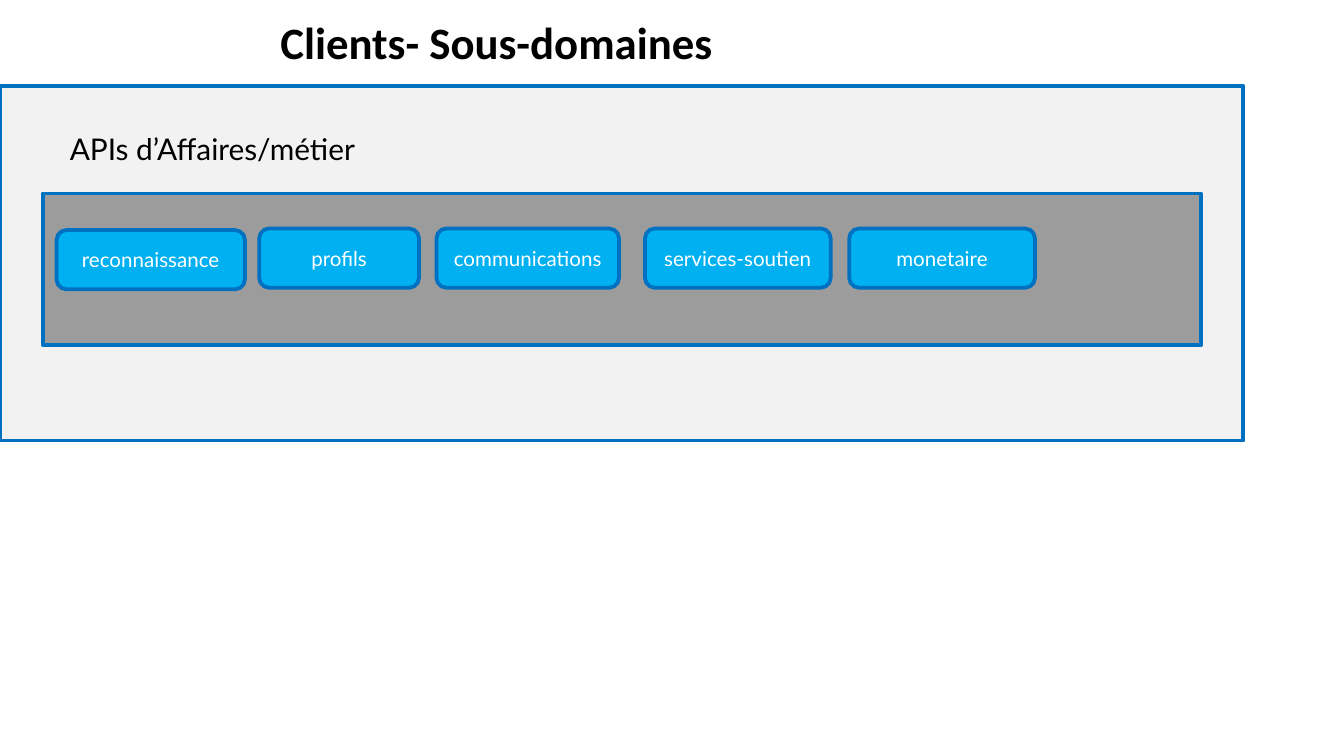
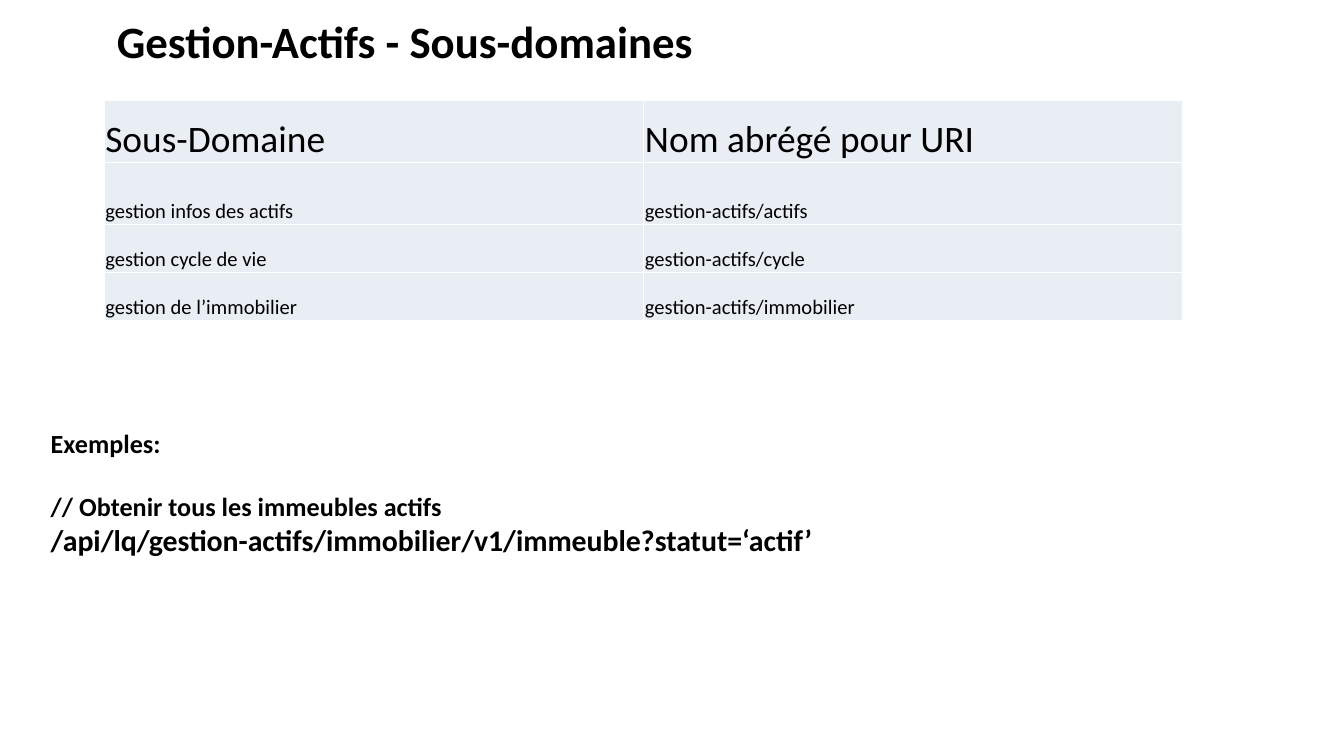
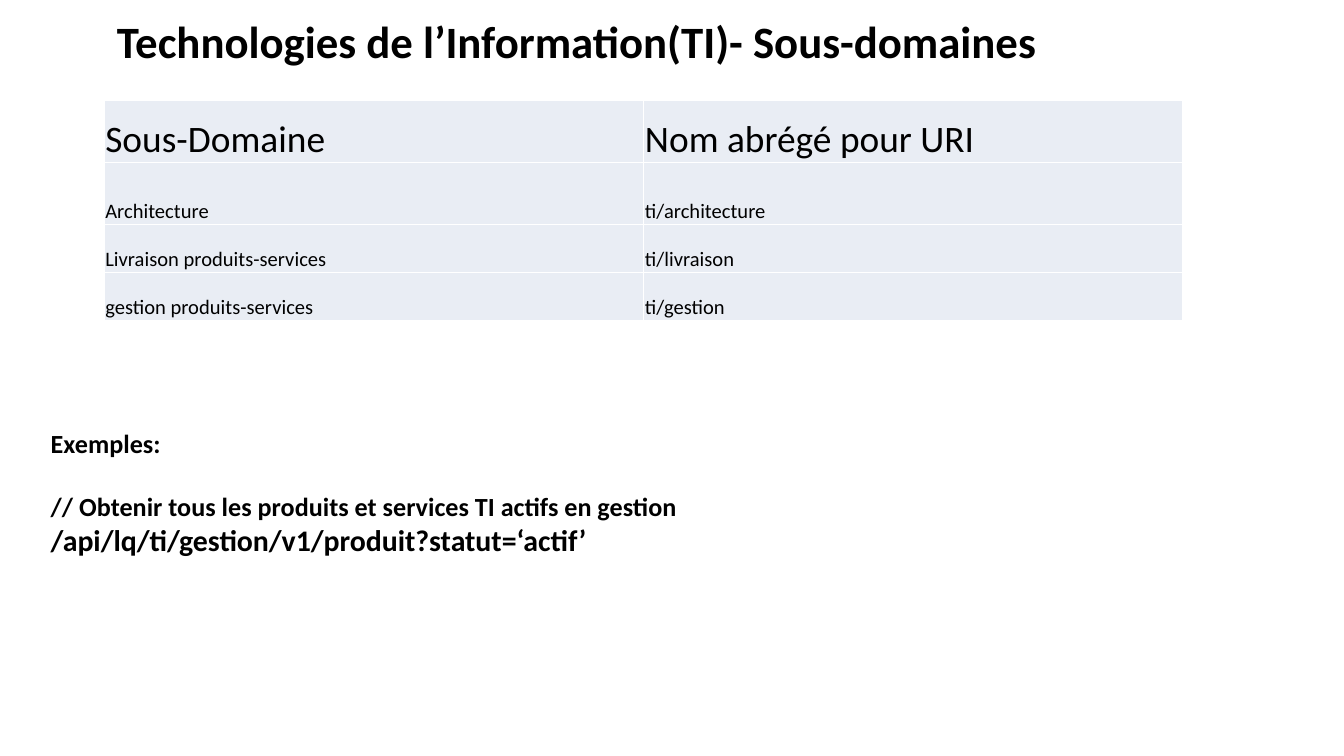
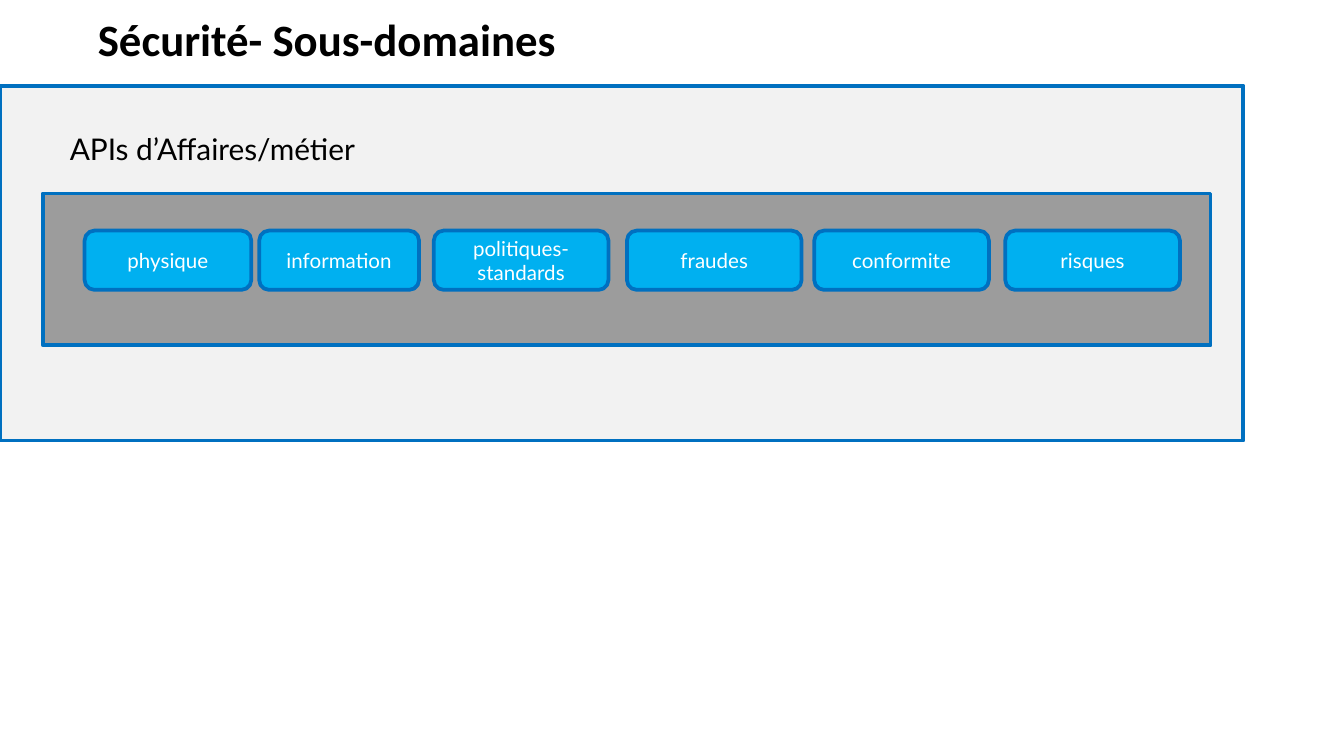
"""Build four slides on API sub-domains: two panel slides and two table slides."""
import dataclasses
import lxml.etree
import pptx
import pptx.dml.color
import pptx.enum.shapes
import pptx.enum.text
import pptx.oxml.ns
import pptx.util

Cm = pptx.util.Cm
Pt = pptx.util.Pt
SHAPES = pptx.enum.shapes.MSO_SHAPE
ANCHOR = pptx.enum.text.MSO_ANCHOR
ALIGN = pptx.enum.text.PP_ALIGN


@dataclasses.dataclass(frozen=True)
class Theme:
    ink: str = "000000"
    paper: str = "FFFFFF"
    panel: str = "F2F2F2"
    band: str = "9C9C9C"
    button: str = "00B0F0"
    outline: str = "0070C0"
    cell: str = "E9EDF4"
    body_font: str = "Calibri"
    panel_font: str = "Lato"
    title_size: int = 24
    header_size: int = 20
    label_size: int = 16
    example_size: int = 14
    small_size: int = 11
    line_width: int = 2
    border_width: int = 1


T = Theme()

PANEL_LABEL = "APIs d’Affaires/métier"
TABLE_HEADER = ("Sous-Domaine", "Nom abrégé pour URI")
EXAMPLE_HEADING = "Exemples:"

SLIDES = [
    {
        "title": "Clients- Sous-domaines",
        "title_box": (5.05, 0.15, 19.25, 1.9),
        "band_width": 21.89,
        "buttons": [
            ("reconnaissance", 1.07, 4.35, 3.56),
            ("profils", 4.9, 4.32, 3.02),
            ("communications", 8.25, 4.32, 3.45),
            ("services-soutien", 12.19, 4.32, 3.51),
            ("monetaire", 16.05, 4.32, 3.51),
        ],
    },
    {
        "title": "Gestion-Actifs - Sous-domaines",
        "title_box": (1.96, 0.13, 19.25, 1.9),
        "rows": [
            ("gestion infos des actifs", "gestion-actifs/actifs"),
            ("gestion cycle de vie", "gestion-actifs/cycle"),
            ("gestion de l’immobilier", "gestion-actifs/immobilier"),
        ],
        "example": (
            "// Obtenir tous les immeubles actifs",
            "/api/lq/gestion-actifs/immobilier/v1/immeuble?statut=‘actif’",
        ),
    },
    {
        "title": "Technologies de l’Information(TI)- Sous-domaines",
        "title_box": (1.96, 0.13, 20.75, 1.9),
        "rows": [
            ("Architecture", "ti/architecture"),
            ("Livraison produits-services", "ti/livraison"),
            ("gestion produits-services", "ti/gestion"),
        ],
        "example": (
            "// Obtenir tous les produits et services TI actifs en gestion",
            "/api/lq/ti/gestion/v1/produit?statut=‘actif’",
        ),
    },
    {
        "title": "Sécurité- Sous-domaines",
        "title_box": (1.6, 0.1, 19.25, 1.9),
        "band_width": 22.07,
        "buttons": [
            ("physique", 1.6, 4.36, 3.15),
            ("information", 4.9, 4.36, 3.02),
            ("politiques-standards", 8.2, 4.36, 3.3),
            ("fraudes", 11.85, 4.36, 3.3),
            ("conformite", 15.39, 4.36, 3.3),
            ("risques", 19, 4.36, 3.3),
        ],
    },
]

PANEL_BOX = (0, 1.62, 23.5, 6.71)
LABEL_BOX = (1.07, 2.34, 5.94, 0.94)
BAND_LEFT, BAND_TOP, BAND_HEIGHT = 0.81, 3.66, 2.87
BUTTON_HEIGHT = 1.12
TABLE_BOX = (1.96, 1.9, 20.4, 4.17)
ROW_HEIGHTS = (1.17, 1.17, 0.91, 0.91)
CELL_INSET = 0.03
EXAMPLE_BOX = (0.71, 7.95, 25.1, 4.01)


def rgb(value):
    return pptx.dml.color.RGBColor.from_string(value)


def style(p, size, font, color=T.ink, bold=False):
    for r in p.runs:
        r.font.size = Pt(size)
        r.font.name = font
        r.font.bold = bold
        r.font.color.rgb = rgb(color)


def add_text(s, box, lines, font, bold=False, wrap=True):
    tf = s.shapes.add_textbox(*map(Cm, box)).text_frame
    tf.word_wrap = wrap
    tf.text = "\n".join(text for text, size in lines)
    for p, (text, size) in zip(tf.paragraphs, lines):
        style(p, size, font, bold=bold)
    return tf


def add_box(s, kind, box, fill):
    sp = s.shapes.add_shape(kind, *map(Cm, box))
    sp.shadow.inherit = False
    sp.fill.solid()
    sp.fill.fore_color.rgb = rgb(fill)
    sp.line.color.rgb = rgb(T.outline)
    sp.line.width = Pt(T.line_width)
    return sp


def add_button(s, text, left, top, width):
    sp = add_box(s, SHAPES.ROUNDED_RECTANGLE, (left, top, width, BUTTON_HEIGHT), T.button)
    tf = sp.text_frame
    tf.text = text
    tf.word_wrap = True
    tf.vertical_anchor = ANCHOR.MIDDLE
    p = tf.paragraphs[0]
    p.alignment = ALIGN.CENTER
    style(p, T.small_size, T.panel_font, T.paper)


def add_panel(s, band_width, buttons):
    add_box(s, SHAPES.RECTANGLE, PANEL_BOX, T.panel)
    add_box(s, SHAPES.RECTANGLE, (BAND_LEFT, BAND_TOP, band_width, BAND_HEIGHT), T.band)
    add_text(s, LABEL_BOX, [(PANEL_LABEL, T.label_size)], T.panel_font, wrap=False)
    for button in buttons:
        add_button(s, *button)


def add_borders(cell):
    qn = pptx.oxml.ns.qn
    tc_pr = cell._tc.get_or_add_tcPr()
    for i, side in enumerate(("lnL", "lnR", "lnT", "lnB")):
        ln = lxml.etree.Element(qn("a:" + side), w=str(Pt(T.border_width)))
        fill = lxml.etree.SubElement(ln, qn("a:solidFill"))
        lxml.etree.SubElement(fill, qn("a:srgbClr"), val=T.paper)
        tc_pr.insert(i, ln)


def add_table(s, rows):
    rows = [TABLE_HEADER, *rows]
    table = s.shapes.add_table(len(rows), len(TABLE_HEADER), *map(Cm, TABLE_BOX)).table
    for i, (row, height) in enumerate(zip(rows, ROW_HEIGHTS)):
        table.rows[i].height = Cm(height)
        for j, text in enumerate(row):
            cell = table.cell(i, j)
            cell.text = text
            cell.vertical_anchor = ANCHOR.BOTTOM
            cell.margin_left = cell.margin_right = cell.margin_top = Cm(CELL_INSET)
            cell.margin_bottom = 0
            cell.fill.solid()
            cell.fill.fore_color.rgb = rgb(T.cell)
            add_borders(cell)
            size = T.small_size if i else T.header_size
            style(cell.text_frame.paragraphs[0], size, T.body_font)


def add_example(s, comment, uri):
    lines = [
        (EXAMPLE_HEADING, T.example_size),
        (comment, T.example_size),
        (uri, T.label_size),
    ]
    tf = add_text(s, EXAMPLE_BOX, lines, T.body_font, bold=True)
    tf.paragraphs[0].space_after = Pt(1.2 * T.example_size)


def main():
    prs = pptx.Presentation()
    prs.slide_width, prs.slide_height = Cm(25.4), Cm(14.29)
    for content in SLIDES:
        s = prs.slides.add_slide(prs.slide_layouts[6])
        if "buttons" in content:
            add_panel(s, content["band_width"], content["buttons"])
        else:
            add_table(s, content["rows"])
            add_example(s, *content["example"])
        add_text(s, content["title_box"], [(content["title"], T.title_size)], T.body_font, bold=True)
    prs.save("out.pptx")


main()
